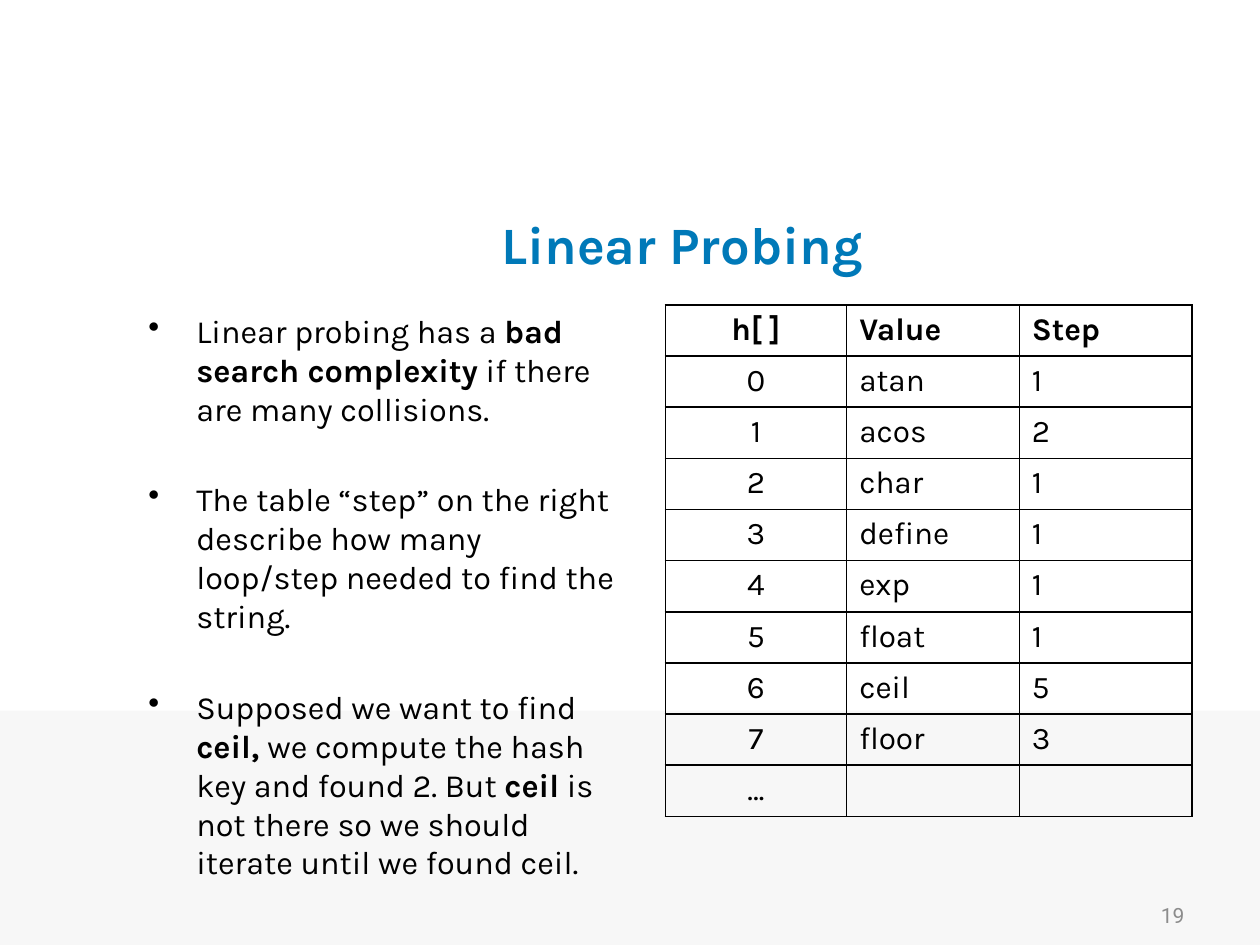
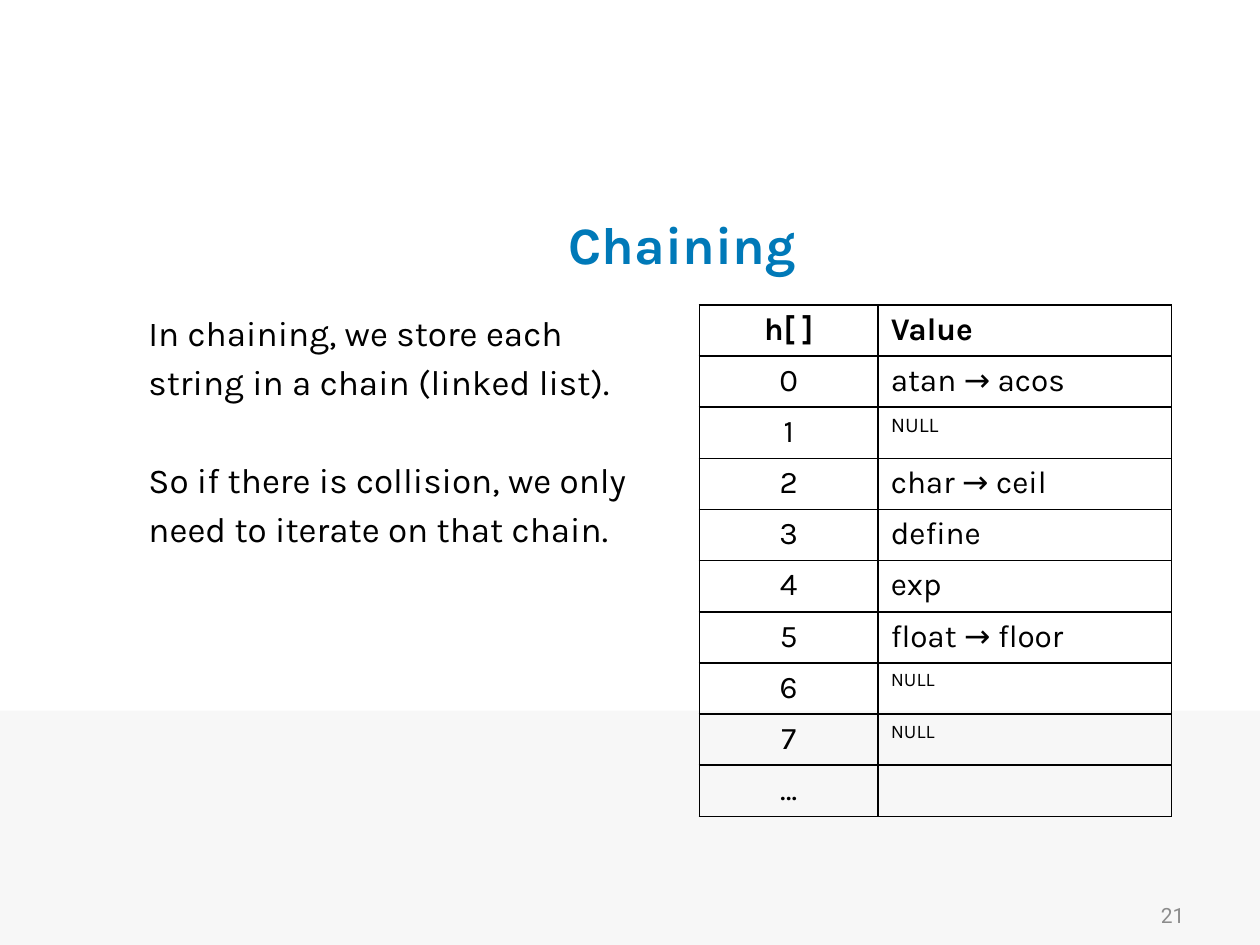
from lxml import etree
from pptx import Presentation
from pptx.dml.color import RGBColor
from pptx.enum.shapes import MSO_SHAPE
from pptx.enum.text import MSO_ANCHOR, PP_ALIGN
from pptx.oxml.ns import qn
from pptx.util import Inches, Pt

RECTANGLE = MSO_SHAPE.RECTANGLE
MIDDLE = MSO_ANCHOR.MIDDLE
LEFT, CENTER, RIGHT = PP_ALIGN.LEFT, PP_ALIGN.CENTER, PP_ALIGN.RIGHT

BLUE = RGBColor(0x00, 0x79, 0xB8)
BLACK = RGBColor(0x00, 0x00, 0x00)
GRAY = RGBColor(0x8C, 0x8C, 0x8C)
BAND = RGBColor(0xF7, 0xF7, 0xF7)
FONT, NUMBER_FONT = "Karla", "Roboto"

TITLE_ONLY = 5
CONTENT_LEFT, CONTENT_TOP = 1.08, 2.42
TABLE_HEIGHT = 4.06
CELL_SIZE = 18
LINE_RATIO, SPACE_RATIO = 1.2, 0.2


class SlideBuilder:
    def __init__(self):
        self.deck = Presentation()
        self.deck.slide_width = Inches(10)
        self.deck.slide_height = Inches(7.5)
        self.page = None

    def add_span(self, para, text, size, bold=False, color=BLACK, font=FONT):
        span = para.add_run()
        span.text = text
        span.font.name = font
        span.font.size = Pt(size)
        span.font.bold = bold
        span.font.color.rgb = color

    def start_page(self, title, number):
        self.page = self.deck.slides.add_slide(self.deck.slide_layouts[TITLE_ONLY])
        self.add_band()
        self.add_title(title)
        self.add_number(number)

    def add_band(self):
        band = self.page.shapes.add_shape(
            RECTANGLE, 0, Inches(5.64), Inches(10), Inches(1.86))
        band.shadow.inherit = False
        band.fill.solid()
        band.fill.fore_color.rgb = BAND
        band.line.fill.background()

    def add_title(self, text):
        box = self.page.shapes.title
        box.left, box.top = Inches(CONTENT_LEFT), Inches(1.5)
        box.width, box.height = Inches(8.67), Inches(0.87)
        box.text_frame.vertical_anchor = MIDDLE
        para = box.text_frame.paragraphs[0]
        para.alignment = CENTER
        self.add_span(para, text, 30, True, BLUE)

    def add_number(self, number):
        box = self.page.shapes.add_textbox(
            Inches(7.17), Inches(7.06), Inches(2.33), Inches(0.4))
        box.text_frame.vertical_anchor = MIDDLE
        box.text_frame.word_wrap = True
        para = box.text_frame.paragraphs[0]
        para.alignment = RIGHT
        self.add_span(para, str(number), 12, color=GRAY, font=NUMBER_FONT)

    def add_body(self, groups, width, size, bulleted=False):
        """Each group is a list of paragraphs; a line's gap parts the groups."""
        box = self.page.shapes.add_textbox(
            Inches(CONTENT_LEFT), Inches(CONTENT_TOP), Inches(width), Inches(4.25))
        frame = box.text_frame
        frame.word_wrap = True
        small_gap = SPACE_RATIO * size
        group_gap = 2 * small_gap + LINE_RATIO * size
        for group_index, group in enumerate(groups):
            for index, spans in enumerate(group):
                first = group_index == index == 0
                para = frame.paragraphs[0] if first else frame.add_paragraph()
                if not first:
                    para.space_before = Pt(small_gap if index else group_gap)
                if bulleted:
                    self.add_bullet(para)
                for text, bold in spans:
                    self.add_span(para, text, size, bold)

    def add_bullet(self, para):
        properties = para._p.get_or_add_pPr()
        properties.set("marL", str(Inches(0.38)))
        properties.set("indent", str(-Inches(0.38)))
        etree.SubElement(properties, qn("a:buChar")).set("char", "•")

    def add_table(self, left, widths, rows, sizes=None):
        """Sizes maps (row, column) to a text size other than the usual one."""
        sizes = sizes or {}
        frame = self.page.shapes.add_table(
            len(rows), len(widths), Inches(left), Inches(CONTENT_TOP),
            Inches(sum(widths)), Inches(TABLE_HEIGHT))
        table = frame.table
        table.first_row = table.horz_banding = False
        for column, width in zip(table.columns, widths):
            column.width = Inches(width)
        for row_index, row in enumerate(rows):
            table.rows[row_index].height = Inches(TABLE_HEIGHT / len(rows))
            for column_index, text in enumerate(row):
                cell = table.cell(row_index, column_index)
                cell.fill.background()
                self.add_borders(cell)
                para = cell.text_frame.paragraphs[0]
                para.alignment = LEFT if column_index else CENTER
                if text:
                    size = sizes.get((row_index, column_index), CELL_SIZE)
                    self.add_span(para, text, size, bold=row_index == 0)

    def add_borders(self, cell):
        properties = cell._tc.get_or_add_tcPr()
        for index, side in enumerate(("a:lnL", "a:lnR", "a:lnT", "a:lnB")):
            line = etree.Element(qn(side), w=str(Pt(1)))
            fill = etree.SubElement(line, qn("a:solidFill"))
            etree.SubElement(fill, qn("a:srgbClr")).set("val", str(BLACK))
            properties.insert(index, line)


def main():
    builder = SlideBuilder()
    keys = ["0", "1", "2", "3", "4", "5", "6", "7", "…"]

    # Linear probing
    builder.start_page("Linear Probing", 19)
    builder.add_body([
        [[("Linear probing has a ", False), ("bad search complexity", True),
          (" if there are many collisions.", False)]],
        [[("The table “step” on the right describe how many loop/step "
           "needed to find the string.", False)]],
        [[("Supposed we want to find ", False), ("ceil, ", True),
          ("we compute the hash key and found 2. But ", False), ("ceil", True),
          (" is not there so we should iterate until we found ceil.", False)]],
    ], width=4, size=18.5, bulleted=True)
    values = ["atan", "acos", "char", "define", "exp", "float", "ceil", "floor", ""]
    steps = ["1", "2", "1", "1", "1", "1", "5", "3", ""]
    builder.add_table(5.28, [1.44, 1.37, 1.37],
                      [("h[ ]", "Value", "Step"), *zip(keys, values, steps)])

    # Chaining
    builder.start_page("Chaining", 21)
    builder.add_body([
        [[("In chaining, we store each", False)],
         [("string in a chain (linked list).", False)]],
        [[("So if there is collision, we only", False)],
         [("need to iterate on that chain.", False)]],
    ], width=8.67, size=20)
    chains = ["atan → acos", "NULL", "char → ceil", "define", "exp",
              "float → floor", "NULL", "NULL", ""]
    builder.add_table(5.55, [1.42, 2.33], [("h[ ]", "Value"), *zip(keys, chains)],
                      sizes={(2, 1): 12, (7, 1): 11, (8, 1): 11})

    builder.deck.save("out.pptx")


if __name__ == "__main__":
    main()
